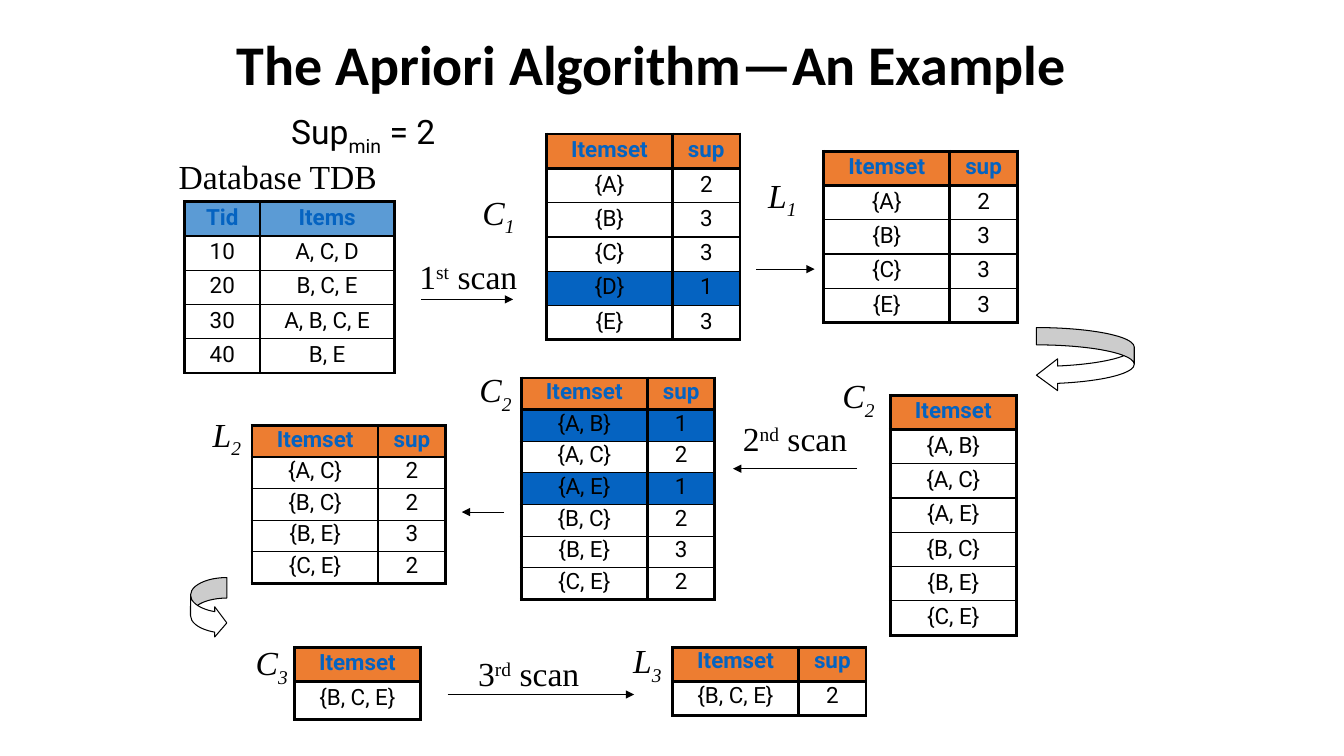
from lxml import etree
from pptx import Presentation
from pptx.dml.color import RGBColor
from pptx.enum.shapes import MSO_CONNECTOR, MSO_SHAPE
from pptx.enum.text import MSO_ANCHOR, MSO_AUTO_SIZE, PP_ALIGN
from pptx.oxml.ns import qn
from pptx.util import Inches, Pt

LEFT, CENTER = PP_ALIGN.LEFT, PP_ALIGN.CENTER
MIDDLE = MSO_ANCHOR.MIDDLE
FIT_SHAPE, NO_FIT = MSO_AUTO_SIZE.SHAPE_TO_FIT_TEXT, MSO_AUTO_SIZE.NONE
STRAIGHT = MSO_CONNECTOR.STRAIGHT
LEFT_CURVE, RIGHT_CURVE = MSO_SHAPE.CURVED_LEFT_ARROW, MSO_SHAPE.CURVED_RIGHT_ARROW

BLACK = RGBColor(0x00, 0x00, 0x00)
WHITE = RGBColor(0xFF, 0xFF, 0xFF)
BLUE = RGBColor(0x05, 0x63, 0xC1)
LIGHT_BLUE = RGBColor(0x5B, 0x9B, 0xD5)
ORANGE = RGBColor(0xED, 0x7D, 0x31)

SERIF, SANS = "Times New Roman", "Roboto"
THICK, THIN, LINE_WIDTH = Pt(2.25), Pt(1), Pt(0.75)
SUPERSCRIPT, SUBSCRIPT = "30000", "-25000"


def add_run(paragraph, text, baseline=None, **font_format):
    run = paragraph.add_run()
    run.text = text
    run.font.color.rgb = font_format.pop("color", BLACK)
    for name, value in font_format.items():
        setattr(run.font, name, value)
    if baseline:
        run._r.get_or_add_rPr().set("baseline", baseline)


def add_border(cell, side, width):
    border = etree.SubElement(cell._tc.get_or_add_tcPr(), qn(f"a:ln{side}"), w=str(width))
    fill = etree.SubElement(border, qn("a:solidFill"))
    etree.SubElement(fill, qn("a:srgbClr"), val=str(BLACK))


presentation = Presentation()
presentation.slide_width = Inches(13.33)
presentation.slide_height = Inches(7.5)
slide = presentation.slides.add_slide(presentation.slide_layouts[5])
shapes = slide.shapes

title = shapes.title
title.left, title.top, title.width, title.height = map(Inches, (2.25, 0.33, 8.52, 0.67))
title.text_frame.auto_size = NO_FIT
title.text_frame.vertical_anchor = MIDDLE
title_paragraph = title.text_frame.paragraphs[0]
title_paragraph.alignment = LEFT
title_paragraph.line_spacing = 0.9
add_run(title_paragraph, "The Apriori Algorithm—An Example ",
        name="Calibri", size=Pt(40), bold=True)

labels = [(1.67, 1.5, 2.17, [("Database TDB", None)])]
for left, top, width, number, ending in [
    (4.05, 2.49, 1.19, "1", "st"),
    (7.25, 4.1, 1.27, "2", "nd"),
    (4.63, 6.43, 1.23, "3", "rd"),
]:
    labels.append((left, top, width,
                   [(number, None), (ending, SUPERSCRIPT), (" scan", None)]))
labels.append((2.79, 1.08, 1.92, [("Sup", None), ("min", SUBSCRIPT), (" = 2", None)]))
for left, top, letter, index in [
    (4.68, 1.88, "C", "1"), (7.51, 1.71, "L", "1"),
    (8.25, 3.7, "C", "2"), (4.65, 3.64, "C", "2"), (2, 4.08, "L", "2"),
    (2.43, 6.35, "C", "3"), (6.17, 6.33, "L", "3"),
]:
    width = 0.53 if letter == "C" else 0.5
    labels.append((left, top, width, [(letter, None), (index, SUBSCRIPT)]))

for left, top, width, runs in labels:
    is_threshold = runs[0][0] == "Sup"
    is_set_name = runs[0][0] in ("C", "L")
    box = shapes.add_textbox(Inches(left), Inches(top), Inches(width), Inches(0.5))
    frame = box.text_frame
    frame.word_wrap = is_threshold
    frame.auto_size = FIT_SHAPE
    frame.vertical_anchor = MIDDLE
    frame.paragraphs[0].alignment = LEFT if is_threshold else CENTER
    for text, baseline in runs:
        add_run(frame.paragraphs[0], text, baseline, size=Pt(24),
                name=SANS if is_threshold else SERIF, italic=is_set_name)

for start, end, y in [
    (4.18, 5.09, 2.97), (7.5, 8.08, 2.67), (8.5, 7.27, 4.65),
    (5, 4.58, 5.08), (4.44, 6.29, 6.89),
]:
    arrow = shapes.add_connector(STRAIGHT, Inches(start), Inches(y), Inches(end), Inches(y))
    arrow.line.color.rgb = BLACK
    arrow.line.width = LINE_WIDTH
    etree.SubElement(arrow.line._get_or_add_ln(), qn("a:tailEnd"), type="triangle")
    etree.SubElement(arrow._element.spPr, qn("a:effectLst"))

for kind, place, adjustments in [
    (LEFT_CURVE, (10.28, 3.25, 0.97, 0.63), (0.273, 0.546, 0.333)),
    (RIGHT_CURVE, (1.89, 5.73, 0.36, 0.6), (0.566, 1.132, 0.333)),
]:
    curve = shapes.add_shape(kind, *map(Inches, place))
    curve.shadow.inherit = False
    curve.fill.solid()
    curve.fill.fore_color.rgb = WHITE
    curve.line.color.rgb = BLACK
    curve.line.width = LINE_WIDTH
    for position, value in enumerate(adjustments):
        curve.adjustments[position] = value

COUNTED, CANDIDATES, TRANSACTIONS = (1.25, 0.67), (1.25,), (0.75, 1.33)
HEADERS = {
    COUNTED: ("Itemset", "sup"),
    CANDIDATES: ("Itemset",),
    TRANSACTIONS: ("Tid", "Items"),
}
tables = [
    (1.83, 2, 1.7, 0.9, TRANSACTIONS,
     [("10", "A, C, D"), ("20", "B, C, E"), ("30", "A, B, C, E"), ("40", "B, E")]),
    (5.42, 1.33, 2.04, 0.9, COUNTED,
     [("{A}", "2"), ("{B}", "3"), ("{C}", "3"), ("{D}", "1"), ("{E}", "3")]),
    (8.17, 1.5, 1.7, 0.9, COUNTED,
     [("{A}", "2"), ("{B}", "3"), ("{C}", "3"), ("{E}", "3")]),
    (8.83, 3.92, 2.38, 0.9, CANDIDATES,
     [("{A, B}",), ("{A, C}",), ("{A, E}",), ("{B, C}",), ("{B, E}",), ("{C, E}",)]),
    (5.17, 3.75, 2.19, 0.8, COUNTED,
     [("{A, B}", "1"), ("{A, C}", "2"), ("{A, E}", "1"),
      ("{B, C}", "2"), ("{B, E}", "3"), ("{C, E}", "2")]),
    (2.5, 4.22, 1.57, 0.8, COUNTED,
     [("{A, C}", "2"), ("{B, C}", "2"), ("{B, E}", "3"), ("{C, E}", "2")]),
    (2.92, 6.42, 0.72, 0.9, CANDIDATES, [("{B, C, E}",)]),
    (6.67, 6.42, 0.68, 0.8, COUNTED, [("{B, C, E}", "2")]),
]

for left, top, height, line_spacing, widths, body in tables:
    rows = [HEADERS[widths], *body]
    last = len(rows) - 1
    header_height = min(0.34, height / len(rows))
    table = shapes.add_table(len(rows), len(widths), Inches(left), Inches(top),
                             Inches(sum(widths)), Inches(height)).table
    table.first_row = table.horz_banding = False
    for column, width in zip(table.columns, widths):
        column.width = Inches(width)
    for row_index, values in enumerate(rows):
        is_header = row_index == 0
        is_pruned = values[-1] == "1"
        row_height = header_height if is_header else (height - header_height) / last
        table.rows[row_index].height = Inches(row_height)
        for column_index, text in enumerate(values):
            cell = table.cell(row_index, column_index)
            add_border(cell, "L", THICK)
            add_border(cell, "R", THICK)
            add_border(cell, "T", THICK if row_index <= 1 else THIN)
            add_border(cell, "B", THICK if row_index in (0, last) else THIN)
            if is_header or is_pruned:
                header_fill = LIGHT_BLUE if widths == TRANSACTIONS else ORANGE
                cell.fill.solid()
                cell.fill.fore_color.rgb = header_fill if is_header else BLUE
            else:
                cell.fill.background()
            paragraph = cell.text_frame.paragraphs[0]
            paragraph.alignment = CENTER
            paragraph.line_spacing = line_spacing
            add_run(paragraph, text, name=SANS, size=Pt(16), bold=is_header,
                    color=BLUE if is_header else BLACK)

presentation.save("out.pptx")
